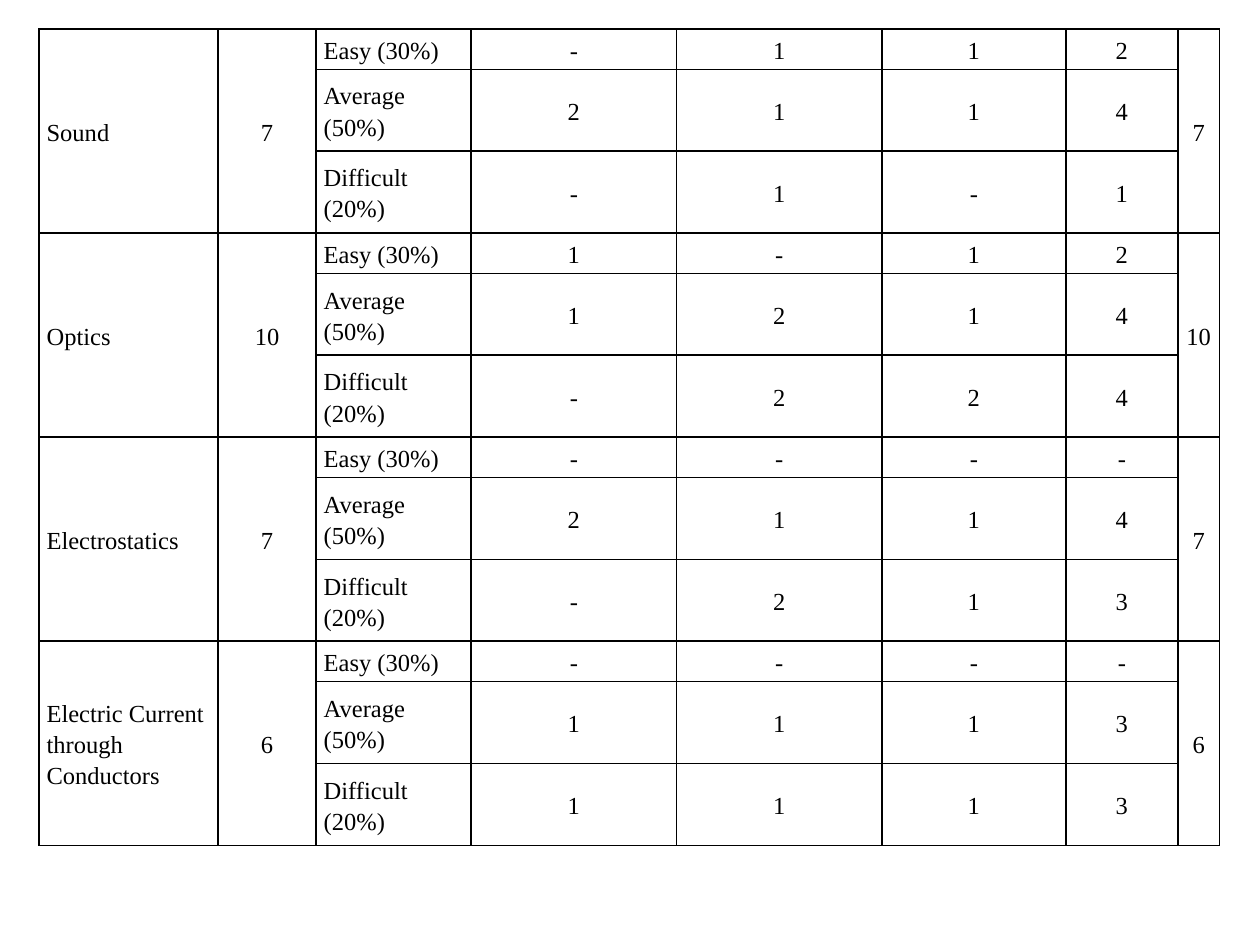
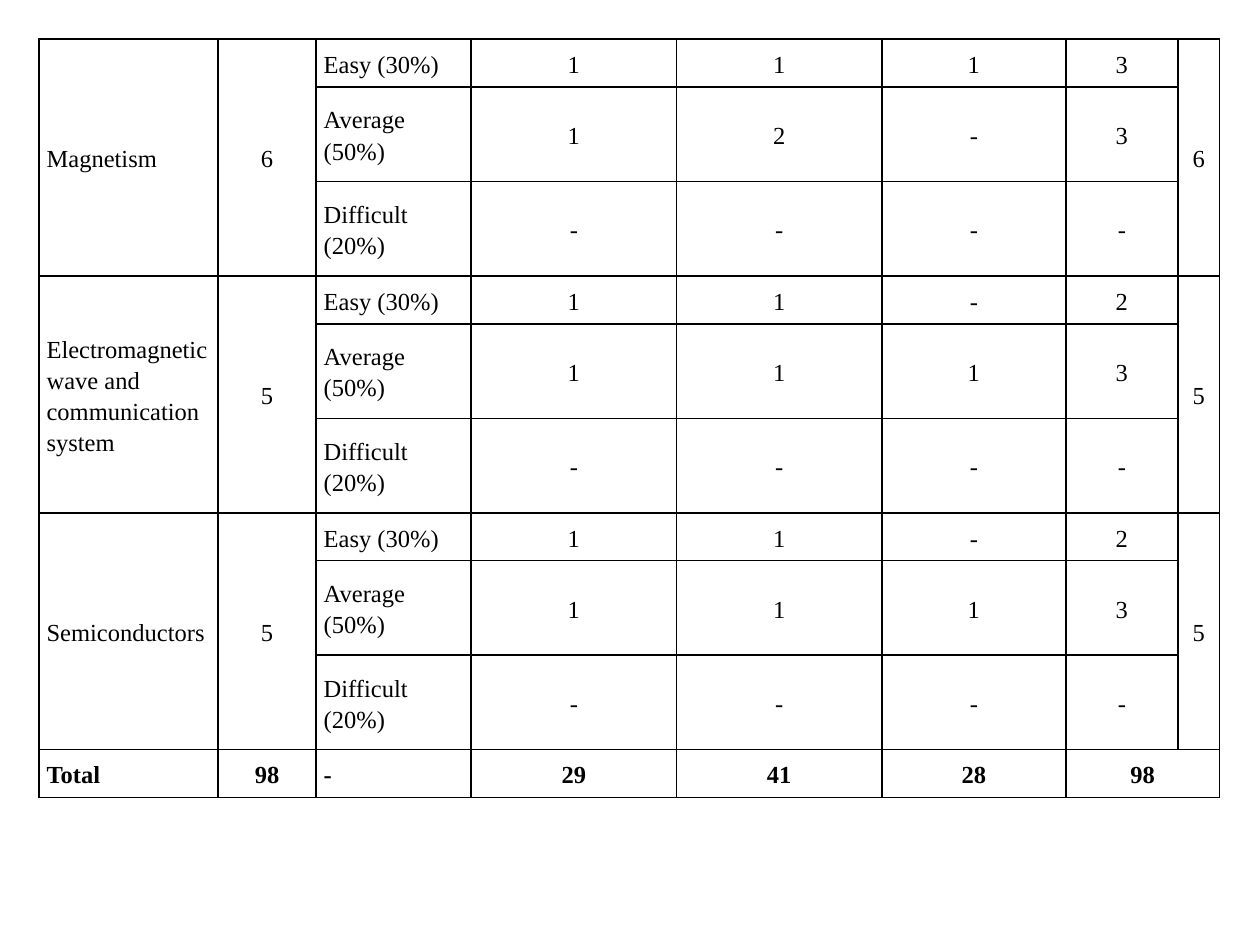
from dataclasses import dataclass

from lxml import etree
from pptx import Presentation
from pptx import util as u
from pptx.dml.color import RGBColor
from pptx.enum import text
from pptx.oxml import ns

# Shared look
COLORS = {"ink": "000000"}
FONT = "Times New Roman"
LEFT = 0.31
COL_WIDTHS = [1.42, 0.78, 1.23, 1.63, 1.63, 1.46, 0.89, 0.33]
LEVELS = ["Easy (30%)", "Average (50%)", "Difficult (20%)"]
LEFT_ALIGNED_COLS = (0, 2)


@dataclass
class Topic:
    name: str
    items: str
    counts: tuple[str, str, str]  # one line per level: three counts and their sum


@dataclass
class TopicPage:
    top: float
    short_row: float
    tall_row: float
    topics: list[Topic]
    total: list[str]  # closing row, empty when there is none


PAGES = [
    TopicPage(0.23, 0.32, 0.65, [
        Topic("Sound", "7", ("- 1 1 2", "2 1 1 4", "- 1 - 1")),
        Topic("Optics", "10", ("1 - 1 2", "1 2 1 4", "- 2 2 4")),
        Topic("Electrostatics", "7", ("- - - -", "2 1 1 4", "- 2 1 3")),
        Topic("Electric Current through Conductors", "6",
              ("- - - -", "1 1 1 3", "1 1 1 3")),
    ], []),
    TopicPage(0.31, 0.38, 0.75, [
        Topic("Magnetism", "6", ("1 1 1 3", "1 2 - 3", "- - - -")),
        Topic("Electromagnetic wave and communication system", "5",
              ("1 1 - 2", "1 1 1 3", "- - - -")),
        Topic("Semiconductors", "5", ("1 1 - 2", "1 1 1 3", "- - - -")),
    ], ["Total", "98", "-", "29", "41", "28", "98", ""]),
]


def add_borders(cell) -> None:
    """Draw a 1 pt line on all four sides of a cell."""
    tc_pr = cell._tc.get_or_add_tcPr()
    for side in ("a:lnL", "a:lnR", "a:lnT", "a:lnB"):
        ln = etree.SubElement(tc_pr, ns.qn(side), w=str(u.Pt(1)))
        fill = etree.SubElement(ln, ns.qn("a:solidFill"))
        etree.SubElement(fill, ns.qn("a:srgbClr"), val=COLORS["ink"])


def format_cell(cell, value: str, centered: bool, bold: bool) -> None:
    cell.margin_left = cell.margin_right = u.Inches(0.06)
    cell.margin_top = cell.margin_bottom = 0
    cell.vertical_anchor = text.MSO_ANCHOR.MIDDLE
    add_borders(cell)
    cell.fill.background()
    cell.text = value
    p = cell.text_frame.paragraphs[0]
    p.alignment = text.PP_ALIGN.CENTER if centered else text.PP_ALIGN.LEFT
    p.line_spacing = 1.15
    p.font.name = FONT
    p.font.size = u.Pt(14)
    p.font.bold = bold
    p.font.color.rgb = RGBColor.from_string(COLORS["ink"])


def page_rows(page: TopicPage) -> list[list[str]]:
    """Expand each topic into one row per level."""
    rows = []
    for topic in page.topics:
        for i, (level, counts) in enumerate(zip(LEVELS, topic.counts)):
            name, items = (topic.name, topic.items) if i == 0 else ("", "")
            rows.append([name, items, level, *counts.split(), items])
    return rows + [page.total] if page.total else rows


def add_topic_table(s, page: TopicPage) -> None:
    rows = page_rows(page)
    heights = [page.tall_row if i % len(LEVELS) else page.short_row
               for i in range(len(rows))]
    table = s.shapes.add_table(
        len(rows), len(COL_WIDTHS), u.Inches(LEFT), u.Inches(page.top),
        u.Inches(sum(COL_WIDTHS)), u.Inches(sum(heights))).table
    table.first_row = table.horz_banding = False
    for column, width in zip(table.columns, COL_WIDTHS):
        column.width = u.Inches(width)
    for row, height in zip(table.rows, heights):
        row.height = u.Inches(height)

    # Cell contents
    for r, values in enumerate(rows):
        for c, value in enumerate(values):
            format_cell(table.cell(r, c), value, c not in LEFT_ALIGNED_COLS,
                        bold=values is page.total)

    # Topic, item count and topic sum span all levels
    last_col = len(COL_WIDTHS) - 1
    for i in range(len(page.topics)):
        first = i * len(LEVELS)
        for c in (0, 1, last_col):
            table.cell(first, c).merge(table.cell(first + len(LEVELS) - 1, c))
    if page.total:
        bottom = len(rows) - 1
        table.cell(bottom, last_col - 1).merge(table.cell(bottom, last_col))


def main() -> None:
    prs = Presentation()
    prs.slide_width, prs.slide_height = u.Inches(10), u.Inches(7.5)
    blank = prs.slide_layouts[6]
    for page in PAGES:
        add_topic_table(prs.slides.add_slide(blank), page)
    prs.save("out.pptx")


if __name__ == "__main__":
    main()
